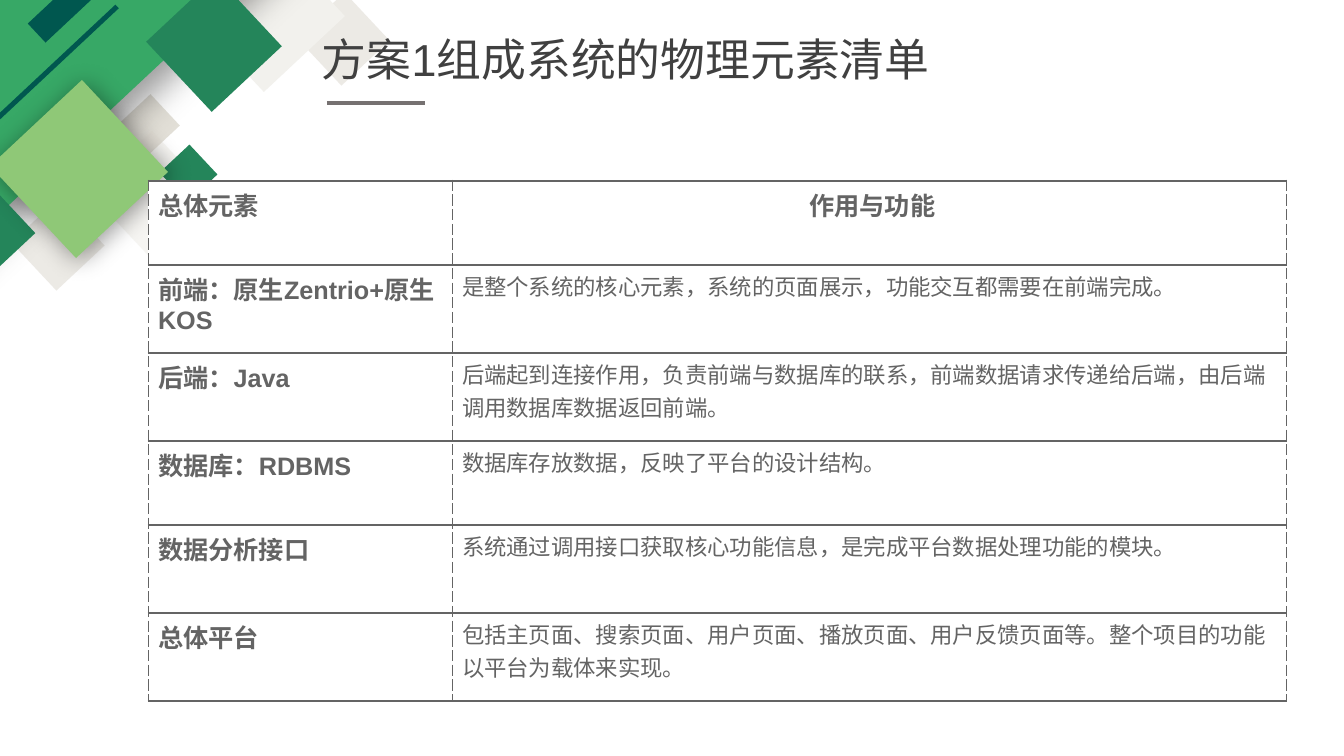
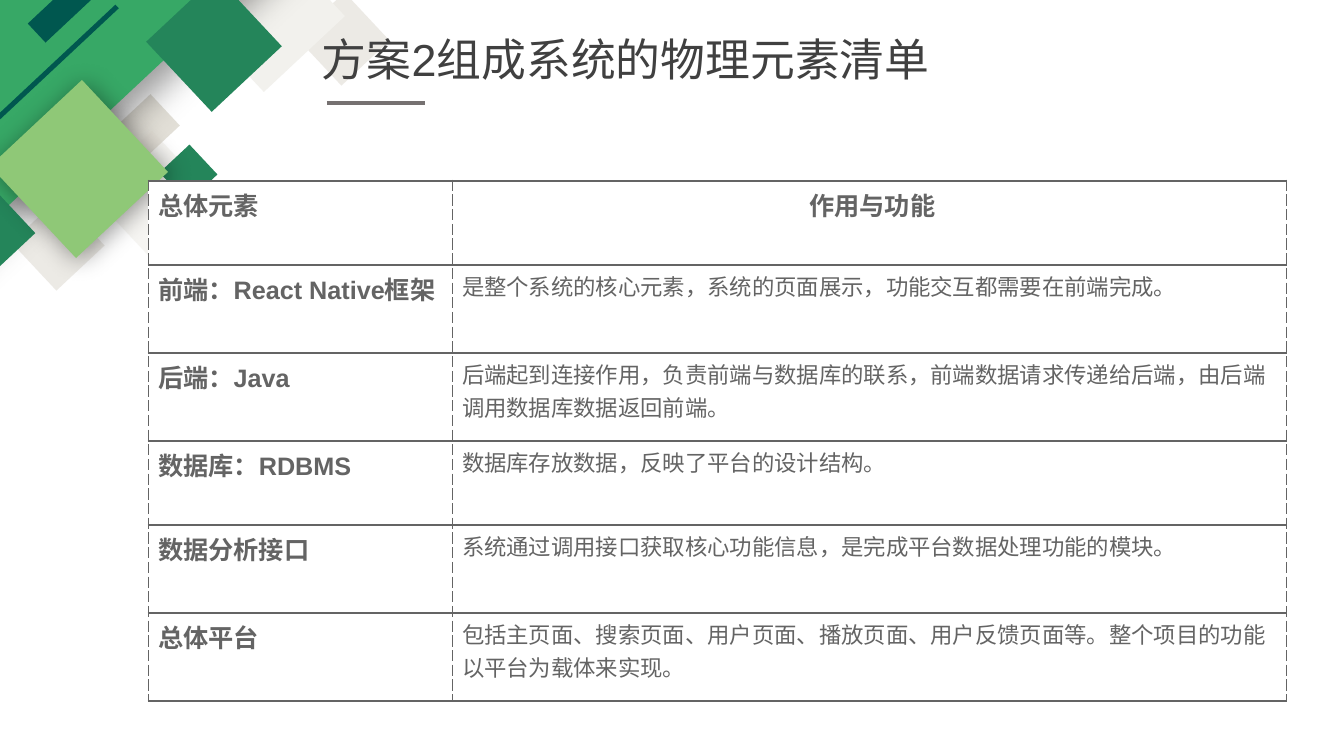
from dataclasses import dataclass
from typing import Any, Optional

from pptx import Presentation
from pptx.dml.color import RGBColor
from pptx.enum.shapes import MSO_CONNECTOR as Connector
from pptx.enum.shapes import MSO_SHAPE as Preset
from pptx.enum.text import MSO_AUTO_SIZE as AutoSize
from pptx.enum.text import PP_ALIGN as Align
from pptx.oxml import parse_xml
from pptx.oxml.ns import nsdecls
from pptx.util import Emu, Pt

EMU_PER_PX = 12192000 / 1344
PAGE_WIDTH, PAGE_HEIGHT = 1344, 756

WHITE = RGBColor(0xFF, 0xFF, 0xFF)
BLACK = RGBColor(0x00, 0x00, 0x00)
TITLE_GREY = RGBColor(0x40, 0x40, 0x40)
RULE_GREY = RGBColor(0x76, 0x71, 0x71)
TABLE_GREY = RGBColor(0x64, 0x64, 0x64)
SAND = RGBColor(0xE7, 0xE4, 0xDD)
PALE_SAND = RGBColor(0xF2, 0xF1, 0xED)
DARK_SAND = RGBColor(0xD8, 0xD4, 0xC9)
GREEN = RGBColor(0x37, 0xA8, 0x66)
LIGHT_GREEN = RGBColor(0x8F, 0xC8, 0x77)
DEEP_GREEN = RGBColor(0x24, 0x85, 0x5A)
TEAL = RGBColor(0x00, 0x57, 0x4F)
DARK_TEAL = RGBColor(0x00, 0x55, 0x4E)

TILE_ANGLE = 316.9
TITLE_FONT = {"name": "Arial", "size": Pt(32)}
LABEL_FONT = {"name": "Arial", "size": Pt(18), "bold": True}
DETAIL_FONT = {"name": "Arial", "size": Pt(16), "bold": False}
PLAIN_TABLE = {"first_row": False, "horz_banding": False}

TABLE_LEFT, TABLE_TOP = 148, 181
COLUMN_WIDTHS = (304, 835)
ROW_HEIGHTS = (84, 88, 88) * 2


@dataclass(frozen=True)
class Shadow:
    blur: int
    distance: int
    angle: int
    opacity: int = 40


@dataclass(frozen=True)
class Tile:
    left: int
    top: int
    width: int
    height: int
    colour: RGBColor
    opacity: int = 100
    shadow: Optional[Shadow] = None


@dataclass(frozen=True)
class Border:
    tag: str
    width: float
    dash: str


@dataclass(frozen=True)
class Plan:
    title: str
    front_end: str


TILES = (
    Tile(310, 6, 66, 66, SAND, 76),
    Tile(211, -42, 111, 111, PALE_SAND),
    Tile(25, 211, 66, 66, SAND, 76),
    Tile(106, 149, 88, 88, PALE_SAND, 67),
    Tile(128, 103, 43, 43, DARK_SAND, 73),
    Tile(-205, -137, 531, 248, GREEN, shadow=Shadow(27, 16, 90)),
    Tile(-164, 115, 325, 5, TEAL),
    Tile(168, 153, 41, 41, DEEP_GREEN),
    Tile(186, -49, 44, 44, DARK_TEAL),
    Tile(166, -4, 96, 96, DEEP_GREEN),
    Tile(-48, 197, 69, 69, DEEP_GREEN),
    Tile(16, 106, 126, 126, LIGHT_GREEN, shadow=Shadow(18, 3, 45)),
    Tile(-8, -93, 331, 26, TEAL),
)

BORDERS = (
    Border("lnL", 0.75, "sysDash"),
    Border("lnR", 0.75, "sysDash"),
    Border("lnT", 2.25, "solid"),
    Border("lnB", 2.25, "solid"),
)

PLANS = (
    Plan("方案1组成系统的物理元素清单", "前端：原生Zentrio+原生KOS"),
    Plan("方案2组成系统的物理元素清单", "前端：React Native框架"),
)


def px(length: int) -> Emu:
    return Emu(round(length * EMU_PER_PX))


def apply(target: Any, values: dict[str, Any]) -> None:
    for name, value in values.items():
        setattr(target, name, value)


def write(para: Any, text: str, font: dict[str, Any], colour: RGBColor) -> None:
    span = para.add_run()
    span.text = text
    apply(span.font, font)
    span.font.color.rgb = colour


def draw_tile(group: Any, tile: Tile) -> None:
    box = group.shapes.add_shape(
        Preset.RECTANGLE, px(tile.left), px(tile.top), px(tile.width), px(tile.height)
    )
    apply(box, {"rotation": TILE_ANGLE})
    box.fill.solid()
    box.fill.fore_color.rgb = tile.colour
    box.line.fill.background()
    box.shadow.inherit = False
    if tile.opacity < 100:
        colour = box.element.xpath("./p:spPr/a:solidFill/a:srgbClr")[0]
        colour.append(
            parse_xml(f'<a:alpha {nsdecls("a")} val="{tile.opacity * 1000}"/>')
        )
    if tile.shadow:
        effects = box.element.xpath("./p:spPr/a:effectLst")[0]
        effects.append(
            parse_xml(
                f'<a:outerShdw {nsdecls("a")} blurRad="{Pt(tile.shadow.blur)}" '
                f'dist="{Pt(tile.shadow.distance)}" dir="{tile.shadow.angle * 60000}" '
                f'algn="ctr" rotWithShape="0"><a:srgbClr val="{BLACK}">'
                f'<a:alpha val="{tile.shadow.opacity * 1000}"/>'
                f"</a:srgbClr></a:outerShdw>"
            )
        )


def decorate_layout(layout: Any, page: Any) -> None:
    for placeholder in list(layout.placeholders):
        layout.shapes.element.remove(placeholder.element)
    group = page.shapes.add_group_shape()
    for tile in TILES:
        draw_tile(group, tile)
    layout.shapes.element.append(group.element)


def draw_title(page: Any, title: str) -> None:
    box = page.shapes.add_textbox(px(312), px(27), px(797), px(119))
    apply(
        box.text_frame,
        {"word_wrap": True, "auto_size": AutoSize.SHAPE_TO_FIT_TEXT},
    )
    write(box.text_frame.paragraphs[0], title, TITLE_FONT, TITLE_GREY)
    rule = page.shapes.add_connector(
        Connector.STRAIGHT, px(327), px(103), px(425), px(103)
    )
    rule.line.color.rgb = RULE_GREY
    rule.line.width = Pt(3)
    rule.element.spPr.append(parse_xml(f'<a:effectLst {nsdecls("a")}/>'))


def draw_borders(cell: Any) -> None:
    properties = cell._tc.get_or_add_tcPr()
    for index, border in enumerate(BORDERS):
        line = parse_xml(
            f'<a:{border.tag} {nsdecls("a")} w="{Pt(border.width)}">'
            f'<a:solidFill><a:srgbClr val="{TABLE_GREY}"/></a:solidFill>'
            f'<a:prstDash val="{border.dash}"/></a:{border.tag}>'
        )
        properties.insert(index, line)


def draw_table(page: Any, front_end: str) -> None:
    rows = (
        ("总体元素", " 作用与功能"),
        (front_end, "是整个系统的核心元素，系统的页面展示，功能交互都需要在前端完成。"),
        (
            "后端：Java",
            "后端起到连接作用，负责前端与数据库的联系，前端数据请求传递给后端，"
            "由后端调用数据库数据返回前端。",
        ),
        ("数据库：RDBMS", "数据库存放数据，反映了平台的设计结构。"),
        ("数据分析接口", "系统通过调用接口获取核心功能信息，是完成平台数据处理功能的模块。"),
        (
            "总体平台",
            "包括主页面、搜索页面、用户页面、播放页面、用户反馈页面等。"
            "整个项目的功能以平台为载体来实现。",
        ),
    )
    table = page.shapes.add_table(
        len(rows),
        len(COLUMN_WIDTHS),
        px(TABLE_LEFT),
        px(TABLE_TOP),
        px(sum(COLUMN_WIDTHS)),
        px(sum(ROW_HEIGHTS)),
    ).table
    apply(table, PLAIN_TABLE)
    for column, width in zip(table.columns, COLUMN_WIDTHS):
        column.width = px(width)
    for row, height in zip(table.rows, ROW_HEIGHTS):
        row.height = px(height)
    for row_index, texts in enumerate(rows):
        for column_index, text in enumerate(texts):
            cell = table.cell(row_index, column_index)
            cell.fill.solid()
            cell.fill.fore_color.rgb = WHITE
            draw_borders(cell)
            is_detail = row_index > 0 and column_index > 0
            para = cell.text_frame.paragraphs[0]
            write(para, text, DETAIL_FONT if is_detail else LABEL_FONT, TABLE_GREY)
    table.cell(0, 1).text_frame.paragraphs[0].alignment = Align.CENTER


def main() -> None:
    deck = Presentation()
    apply(deck, {"slide_width": px(PAGE_WIDTH), "slide_height": px(PAGE_HEIGHT)})
    layout = deck.slide_layouts[6]
    pages = [deck.slides.add_slide(layout) for _ in PLANS]
    decorate_layout(layout, pages[0])
    for page, plan in zip(pages, PLANS):
        draw_title(page, plan.title)
        draw_table(page, plan.front_end)
    deck.save("out.pptx")


if __name__ == "__main__":
    main()
